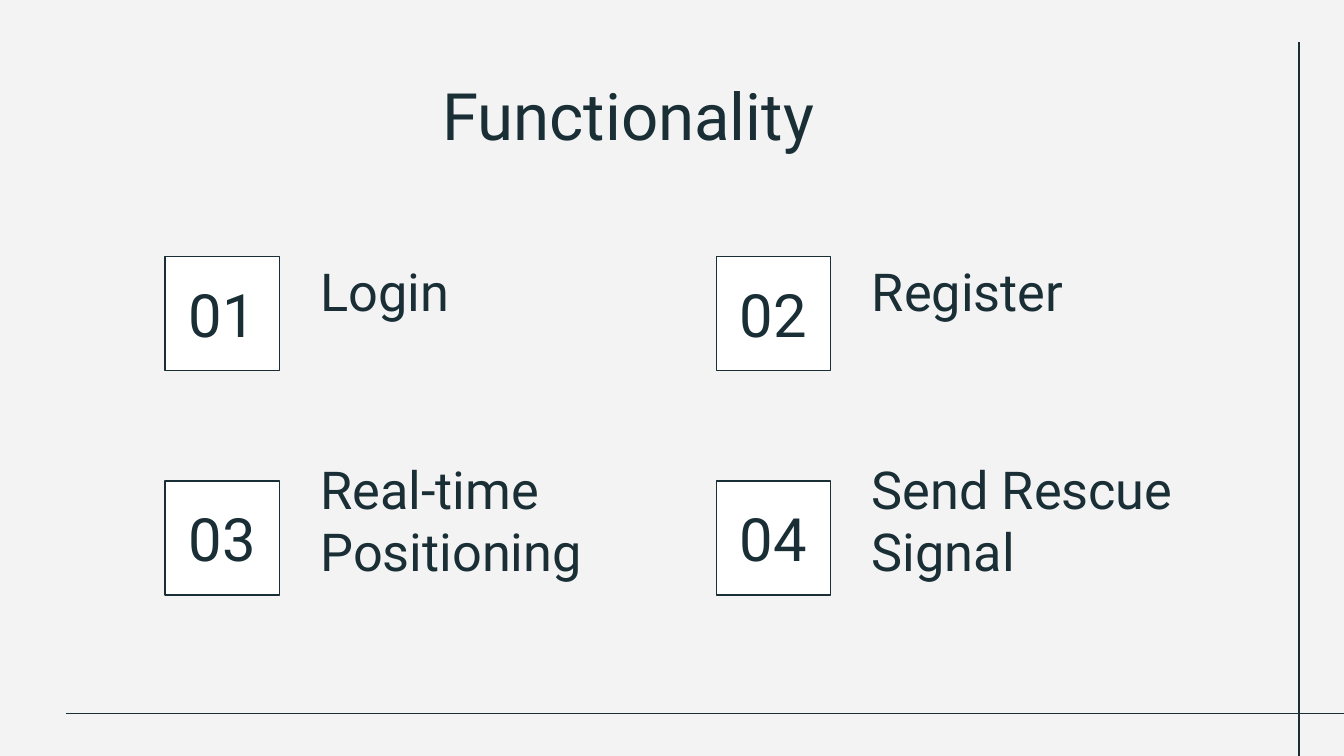
from lxml.etree import SubElement
from pptx import Presentation
from pptx.dml.color import RGBColor
from pptx.enum.shapes import MSO_CONNECTOR, MSO_SHAPE
from pptx.enum.text import MSO_ANCHOR, MSO_AUTO_SIZE, PP_ALIGN
from pptx.oxml.ns import qn
from pptx.util import Cm, Pt

INK = RGBColor(0x1A, 0x2E, 0x35)
PAPER = RGBColor(0xF3, 0xF3, 0xF3)
WHITE = RGBColor(0xFF, 0xFF, 0xFF)

WIDTH, HEIGHT = 25.4, 14.29
SIDE = 2.16


def write(shape, text, size, align, anchor):
    frame = shape.text_frame
    frame.text = text
    frame.word_wrap = True
    frame.auto_size = MSO_AUTO_SIZE.NONE
    frame.vertical_anchor = anchor
    frame.margin_left = frame.margin_right = Cm(0.25)
    frame.margin_top = frame.margin_bottom = Cm(0.25)
    para = frame.paragraphs[0]
    para.alignment = align
    font = para.runs[0].font
    font.name = "Roboto"
    font.size = Pt(size)
    font.color.rgb = INK


deck = Presentation()
deck.slide_width, deck.slide_height = Cm(WIDTH), Cm(HEIGHT)
slide = deck.slides.add_slide(deck.slide_layouts[5])
slide.background.fill.solid()
slide.background.fill.fore_color.rgb = PAPER
shapes = slide.shapes

# Rules along the bottom and right edges
for ends in [(1.24, 13.49, WIDTH, 13.49), (24.55, 0.79, 24.55, HEIGHT)]:
    rule = shapes.add_connector(MSO_CONNECTOR.STRAIGHT, *map(Cm, ends))
    rule.line.color.rgb = INK
    rule.line.width = Pt(0.75)
    SubElement(rule._element.spPr, qn("a:effectLst"))

title = shapes.title
title.left, title.top = Cm(1.17), Cm(1.17)
title.width, title.height = Cm(21.41), Cm(1.6)
write(title, "Functionality", 35, PP_ALIGN.CENTER, MSO_ANCHOR.TOP)

# Numbered features, two to a row: (label, label width)
rows = [
    (4.85, 4.17, [("Login", 6.05), ("Register", 6.05)]),
    (9.09, 9.1, [("Real-time Positioning", 6.05), ("Send Rescue Signal", 7.14)]),
]
count = 0
for top, label_top, items in rows:
    for left, (name, wide) in zip((3.12, 13.54), items):
        count += 1
        box = shapes.add_shape(
            MSO_SHAPE.RECTANGLE, Cm(left), Cm(top), Cm(SIDE), Cm(SIDE))
        box.shadow.inherit = False
        box.fill.solid()
        box.fill.fore_color.rgb = WHITE
        box.line.color.rgb = INK
        box.line.width = Pt(0.75)
        write(box, f"{count:02}", 32, PP_ALIGN.CENTER, MSO_ANCHOR.MIDDLE)

        label = shapes.add_textbox(
            Cm(left + 2.69), Cm(label_top), Cm(wide), Cm(SIDE))
        write(label, name, 28, PP_ALIGN.LEFT, MSO_ANCHOR.BOTTOM)

deck.save("out.pptx")
